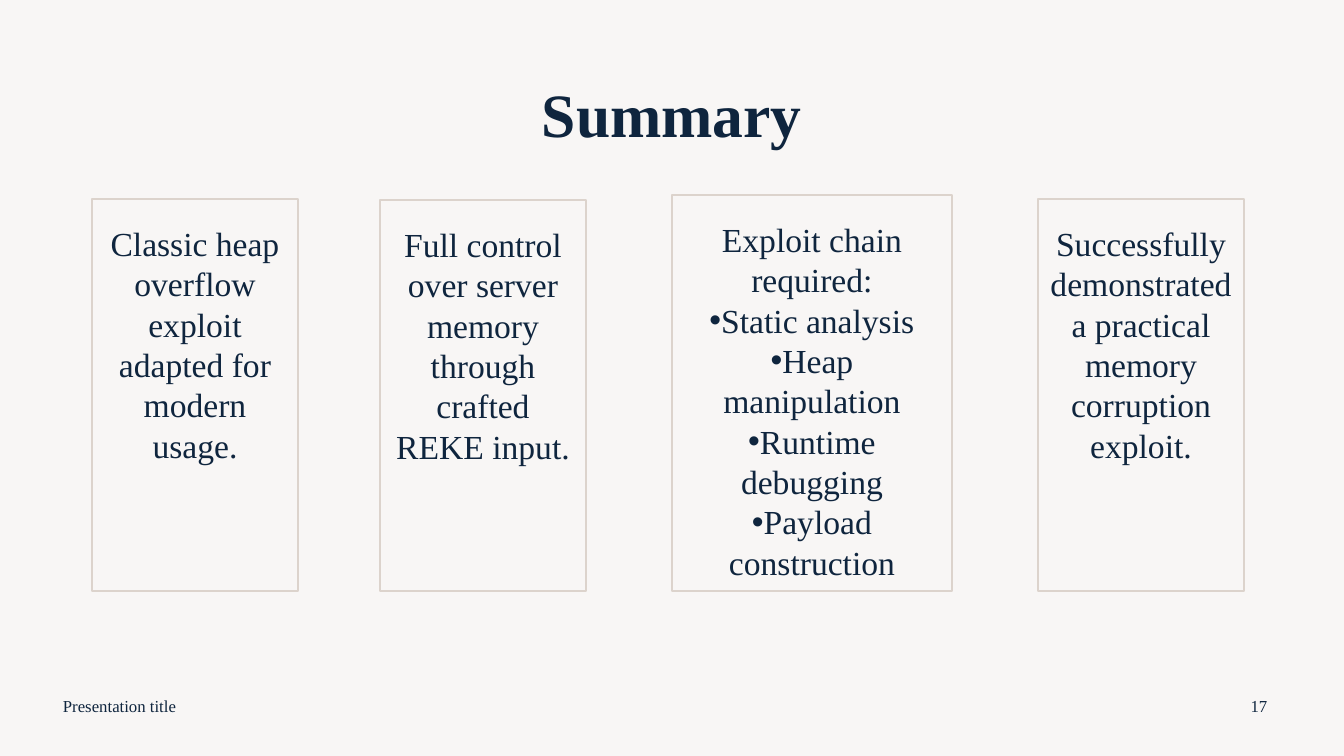
from dataclasses import dataclass

from lxml.etree import SubElement
from pptx import Presentation
from pptx.dml.color import RGBColor as RGB
from pptx.enum.shapes import MSO_SHAPE as Shape
from pptx.enum.text import MSO_ANCHOR as Anchor, PP_ALIGN as Align
from pptx.oxml.ns import qn
from pptx.util import Pt

TITLE = "Summary"
FOOTER = "Presentation title"
PAGE = "17"
# left, top, width, lead text, bullets
CARDS = [
    (92, 199, 206, "Classic heap overflow exploit adapted for modern usage.", []),
    (380, 200, 206, "Full control over server memory through crafted REKE input.", []),
    (672, 195, 280, "Exploit chain required:",
     ["Static analysis", "Heap manipulation", "Runtime debugging",
      "Payload construction"]),
    (1038, 199, 206,
     "Successfully demonstrated a practical memory corruption exploit.", []),
]
BOTTOM = 591


@dataclass(frozen=True)
class Theme:
    font: str = "Times New Roman"
    ink: RGB = RGB(0x0F, 0x25, 0x3E)
    edge: RGB = RGB(0xDC, 0xD3, 0xCC)
    paper: RGB = RGB(0xF8, 0xF6, 0xF5)
    head: int = 44
    body: int = 24
    foot: int = 12
    lead: float = 28.8


THEME = Theme()
SCALE = 914400 / 100.8


def px(n):
    return round(n * SCALE)


def style(para, size, align, bold=False):
    para.alignment = align
    font = para.font
    font.name, font.size, font.bold = THEME.font, Pt(size), bold
    font.color.rgb = THEME.ink


def label(slide, box, text, size, align, bold=False):
    frame = slide.shapes.add_textbox(*map(px, box)).text_frame
    frame.word_wrap = True
    frame.vertical_anchor = Anchor.MIDDLE
    para = frame.paragraphs[0]
    para.text = text
    style(para, size, align, bold)


def dot(para):
    """Put a bullet directly before the paragraph's text."""
    props = para._p.get_or_add_pPr()
    props.set("marL", "0")
    props.set("indent", "0")
    SubElement(props, qn("a:buFont"), typeface="Arial")
    SubElement(props, qn("a:buChar"), char="•")


def card(slide, left, top, width, lead, items):
    box = map(px, (left, top, width, BOTTOM - top))
    shape = slide.shapes.add_shape(Shape.RECTANGLE, *box)
    shape.shadow.inherit = False
    shape.fill.background()
    shape.line.color.rgb = THEME.edge
    shape.line.width = Pt(1.5)
    frame = shape.text_frame
    frame.word_wrap = True
    frame.vertical_anchor = Anchor.TOP
    frame.margin_left = frame.margin_right = px(10)
    frame.margin_top, frame.margin_bottom = px(24), px(5)
    for i, text in enumerate([lead, *items]):
        para = frame.add_paragraph() if i else frame.paragraphs[0]
        para.text = text
        if i:
            dot(para)
        para.line_spacing = Pt(THEME.lead)
        style(para, THEME.body, Align.CENTER)


def main():
    deck = Presentation()
    deck.slide_width, deck.slide_height = px(1344), px(756)
    slide = deck.slides.add_slide(deck.slide_layouts[6])
    fill = slide.background.fill
    fill.solid()
    fill.fore_color.rgb = THEME.paper
    label(slide, (92, 40, 1160, 146), TITLE, THEME.head, Align.CENTER, True)
    for row in CARDS:
        card(slide, *row)
    label(slide, (53, 686, 454, 40), FOOTER, THEME.foot, Align.LEFT)
    label(slide, (1234, 686, 50, 40), PAGE, THEME.foot, Align.CENTER)
    deck.save("out.pptx")


if __name__ == "__main__":
    main()
